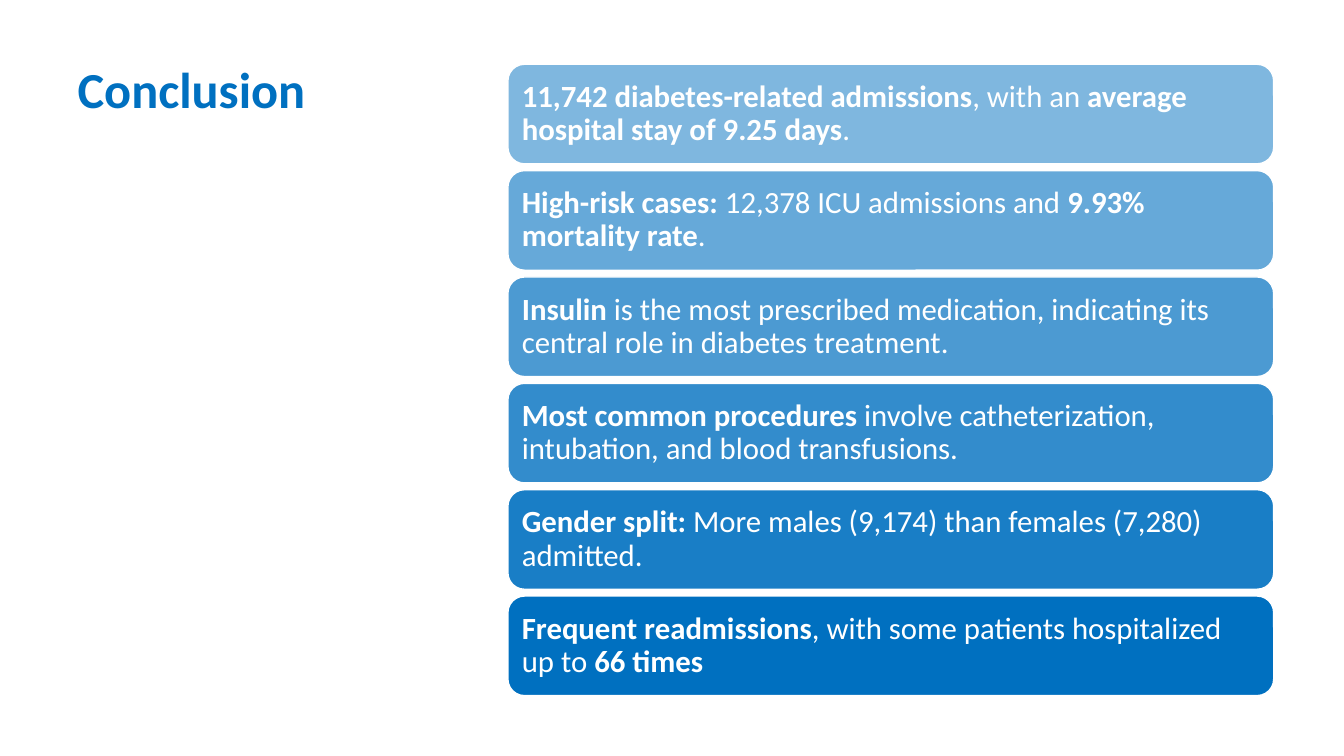
"""Builds the conclusion slide: a title beside six key findings in deepening blue."""
from dataclasses import dataclass

from lxml.etree import SubElement
from pptx import Presentation
from pptx.dml.color import RGBColor
from pptx.enum.shapes import MSO_SHAPE
from pptx.enum.text import MSO_ANCHOR, MSO_AUTO_SIZE, PP_ALIGN
from pptx.oxml.ns import qn
from pptx.util import Cm, Pt


@dataclass(frozen=True)
class Theme:
    blue: RGBColor = RGBColor(0x00, 0x70, 0xC0)
    white: RGBColor = RGBColor(0xFF, 0xFF, 0xFF)
    font: str = "Calibri"
    title_size: Pt = Pt(36)
    finding_size: Pt = Pt(22)
    line_spacing: float = 0.9


THEME = Theme()

FINDINGS = [
    [("11,742 diabetes-related admissions", True), (", with an ", False),
     ("average hospital stay of 9.25 days", True), (".", False)],
    [("High-risk cases:", True), (" 12,378 ICU admissions and ", False),
     ("9.93% mortality rate", True), (".", False)],
    [("Insulin", True),
     (" is the most prescribed medication, indicating its central role in diabetes treatment.", False)],
    [("Most common procedures", True),
     (" involve catheterization, intubation, and blood transfusions.", False)],
    [("Gender split:", True), (" More males (9,174) than females (7,280) admitted.", False)],
    [("Frequent readmissions", True), (", with some patients hospitalized up to ", False),
     ("66 times", True)],
]


def add_run(paragraph, text, size, color, bold):
    run = paragraph.add_run()
    run.text = text
    run.font.name = THEME.font
    run.font.size = size
    run.font.bold = bold
    run.font.color.rgb = color


prs = Presentation()
prs.slide_width = Cm(33.87)
prs.slide_height = Cm(19.05)
slide = prs.slides.add_slide(prs.slide_layouts[5])

heading = slide.shapes.title
heading.left, heading.top, heading.width, heading.height = Cm(1.7), Cm(1.52), Cm(9.7), Cm(1.93)
heading.text_frame.auto_size = MSO_AUTO_SIZE.NONE
heading.text_frame.vertical_anchor = MSO_ANCHOR.TOP
heading_line = heading.text_frame.paragraphs[0]
heading_line.alignment = PP_ALIGN.LEFT
heading_line.line_spacing = THEME.line_spacing
add_run(heading_line, "Conclusion", THEME.title_size, THEME.blue, True)

for index, finding in enumerate(FINDINGS):
    card = slide.shapes.add_shape(
        MSO_SHAPE.ROUNDED_RECTANGLE, Cm(12.8), Cm(1.62 + 2.68 * index), Cm(19.3), Cm(2.51))
    card.shadow.inherit = False
    card.fill.solid()
    card.fill.fore_color.rgb = THEME.blue
    opacity = 50 + 10 * index
    if opacity < 100:
        blue_fill = card.fill._xPr.find(qn("a:solidFill")).find(qn("a:srgbClr"))
        SubElement(blue_fill, qn("a:alpha"), val=str(opacity * 1000))
    card.line.color.rgb = THEME.white
    card.line.width = Pt(1)

    frame = card.text_frame
    frame.word_wrap = True
    frame.vertical_anchor = MSO_ANCHOR.MIDDLE
    frame.margin_left = frame.margin_right = frame.margin_top = frame.margin_bottom = Cm(0.23)
    statement = frame.paragraphs[0]
    statement.alignment = PP_ALIGN.LEFT
    statement.line_spacing = THEME.line_spacing
    for text, bold in finding:
        add_run(statement, text, THEME.finding_size, THEME.white, bold)

prs.save("out.pptx")
